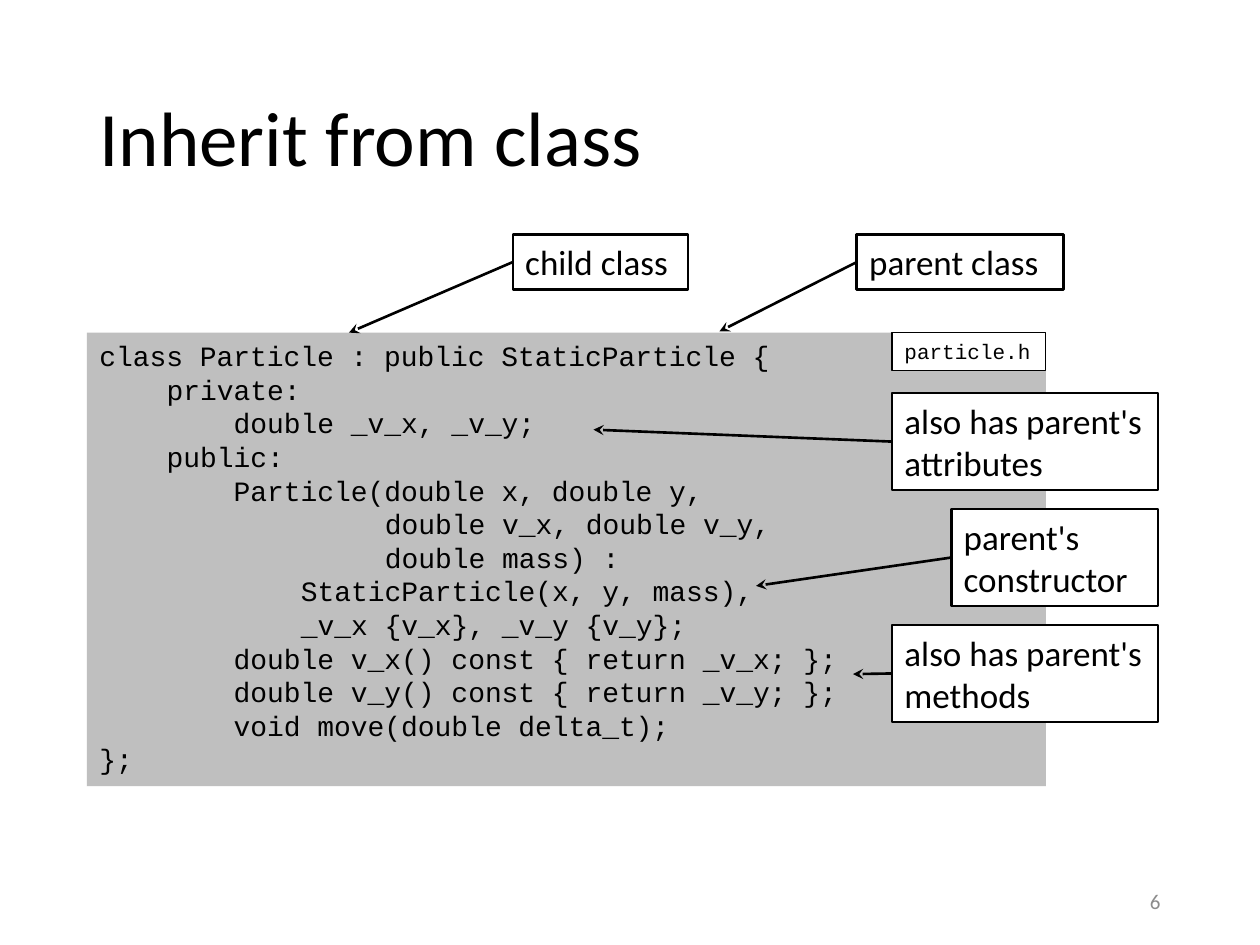
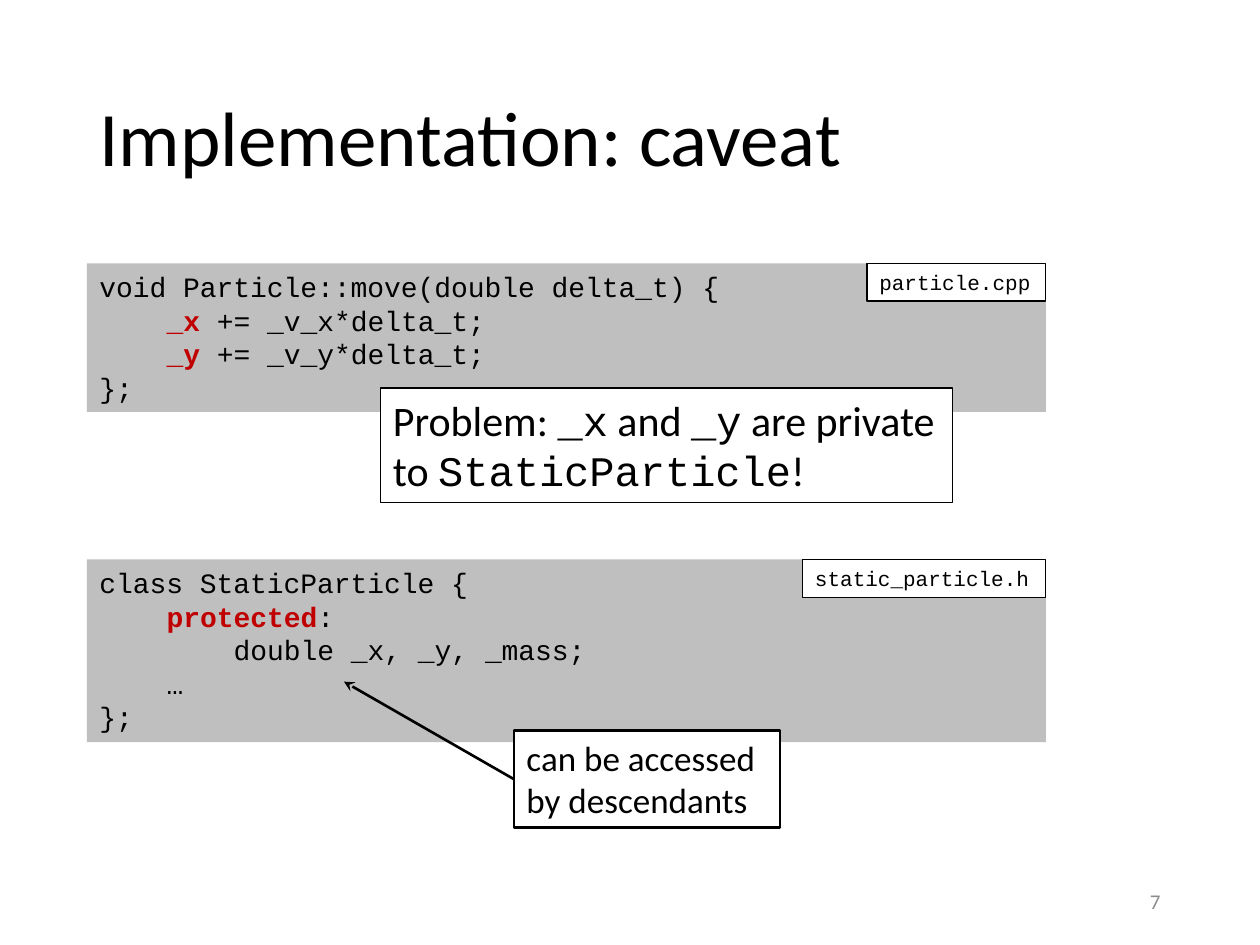
from dataclasses import dataclass

from lxml import etree
from pptx import Presentation
from pptx.dml.color import RGBColor
from pptx.enum.shapes import MSO_CONNECTOR, MSO_SHAPE
from pptx.enum.text import MSO_ANCHOR, MSO_AUTO_SIZE, PP_ALIGN
from pptx.oxml.ns import qn
from pptx.shapes.autoshape import Shape
from pptx.slide import Slide
from pptx.util import Inches, Pt

RECTANGLE = MSO_SHAPE.RECTANGLE
STRAIGHT = MSO_CONNECTOR.STRAIGHT
TOP, MIDDLE = MSO_ANCHOR.TOP, MSO_ANCHOR.MIDDLE
LEFT, RIGHT = PP_ALIGN.LEFT, PP_ALIGN.RIGHT
NO_FIT, GROW = MSO_AUTO_SIZE.NONE, MSO_AUTO_SIZE.SHAPE_TO_FIT_TEXT

# Shared style
COLORS = {
    "text": "000000",
    "paper": "FFFFFF",
    "code": "BFBFBF",
    "accent": "C00000",
    "number": "8C8C8C",
}
BODY_FONT, CODE_FONT = "Calibri", "Courier New"
CODE_SIZE = 16
CHARACTER_WIDTH = 0.6 * CODE_SIZE / 72
MARGIN, CODE_WIDTH, LABEL_HEIGHT = 0.69, 7.61, 0.3
LEFT_SIDE = 1


@dataclass
class CodeBlock:
    """A listing with its file name; text between bars is emphasised."""
    top: float
    height: float
    file_name: str
    label_width: float
    text: str


@dataclass
class Callout:
    """A boxed remark with an arrow from its left side to a target."""
    text: str
    left: float
    top: float
    width: float
    height: float
    target: tuple[float, float]


def color(name: str) -> RGBColor:
    return RGBColor.from_string(COLORS[name])


def write_text(shape: Shape, text: str, *, size: float, font: str = BODY_FONT,
               text_color: str = "text", accent_font: str = "",
               accent_color: str = "", accent_bold: bool = False,
               align: PP_ALIGN = LEFT, anchor: MSO_ANCHOR = TOP,
               wrap: bool = True, fit: MSO_AUTO_SIZE = NO_FIT,
               line_spacing: float = 1.0) -> None:
    """Write one paragraph a line; bars enclose accented runs,
    and leading blanks become a paragraph indent."""
    frame = shape.text_frame
    frame.word_wrap = wrap
    frame.auto_size = fit
    frame.vertical_anchor = anchor
    for index, line in enumerate(text.split("\n")):
        paragraph = frame.paragraphs[0] if index == 0 else frame.add_paragraph()
        paragraph.alignment = align
        paragraph.line_spacing = line_spacing
        content = line.lstrip()
        indent = len(line) - len(content)
        if indent:
            properties = paragraph._p.get_or_add_pPr()
            properties.set("marL", str(Inches(indent * CHARACTER_WIDTH)))
            properties.set("indent", "0")
        for position, piece in enumerate(content.split("|")):
            if not piece:
                continue
            accented = position % 2 == 1
            run = paragraph.add_run()
            run.text = piece
            run.font.size = Pt(size)
            run.font.name = accent_font if accented and accent_font else font
            run.font.bold = accented and accent_bold
            run.font.color.rgb = color(
                accent_color if accented and accent_color else text_color)


def add_box(slide: Slide, left: float, top: float, width: float, height: float,
            fill: str = "paper", line_width: float = 0.75) -> Shape:
    shape = slide.shapes.add_shape(
        RECTANGLE, Inches(left), Inches(top), Inches(width), Inches(height))
    shape.shadow.inherit = False
    shape.fill.solid()
    shape.fill.fore_color.rgb = color(fill)
    if line_width:
        shape.line.color.rgb = color("text")
        shape.line.width = Pt(line_width)
    else:
        shape.line.fill.background()
    return shape


def add_code(slide: Slide, block: CodeBlock) -> None:
    listing = add_box(slide, MARGIN, block.top, CODE_WIDTH, block.height,
                      fill="code", line_width=0)
    write_text(listing, block.text, size=CODE_SIZE, font=CODE_FONT,
               accent_color="accent", accent_bold=True, fit=GROW)
    label_left = MARGIN + CODE_WIDTH - block.label_width
    label = add_box(slide, label_left, block.top, block.label_width, LABEL_HEIGHT)
    write_text(label, block.file_name, size=12, font=CODE_FONT,
               wrap=False, fit=GROW)


def add_callout(slide: Slide, callout: Callout) -> None:
    box = add_box(slide, callout.left, callout.top, callout.width,
                  callout.height, line_width=1.5)
    write_text(box, callout.text, size=20, fit=GROW)
    target_x, target_y = callout.target
    arrow = slide.shapes.add_connector(
        STRAIGHT, box.left, box.top, Inches(target_x), Inches(target_y))
    arrow.begin_connect(box, LEFT_SIDE)
    arrow.line.color.rgb = color("text")
    arrow.line.width = Pt(1.5)
    etree.SubElement(arrow.line._get_or_add_ln(), qn("a:tailEnd"), type="stealth")
    etree.SubElement(arrow._element.spPr, qn("a:effectLst"))


def add_slide(presentation: Presentation, title_text: str, number: int) -> Slide:
    slide = presentation.slides.add_slide(presentation.slide_layouts[5])
    title = slide.shapes.title
    title.left, title.top = Inches(MARGIN), Inches(0.4)
    title.width, title.height = Inches(8.62), Inches(1.45)
    write_text(title, title_text, size=44, anchor=MIDDLE, line_spacing=0.9)
    footer = slide.shapes.add_textbox(
        Inches(7.06), Inches(6.95), Inches(2.25), Inches(0.4))
    write_text(footer, str(number), size=12, text_color="number",
               align=RIGHT, anchor=MIDDLE)
    return slide


# Content
CHILD_CLASS = CodeBlock(2.64, 3.6, "particle.h", 1.22, """\
class Particle : public StaticParticle {
    private:
        double _v_x, _v_y;
    public:
        Particle(double x, double y,
                 double v_x, double v_y,
                 double mass) :
            StaticParticle(x, y, mass),
            _v_x {v_x}, _v_y {v_y};
        double v_x() const { return _v_x; };
        double v_y() const { return _v_y; };
        void move(double delta_t);
};""")

MOVE_METHOD = CodeBlock(2.09, 1.18, "particle.cpp", 1.42, """\
void Particle::move(double delta_t) {
    |_x| += _v_x*delta_t;
    |_y| += _v_y*delta_t;
};""")

PARENT_CLASS = CodeBlock(4.44, 1.45, "static_particle.h", 1.93, """\
class StaticParticle {
    |protected|:
        double _x, _y, _mass;
    …
};""")

INHERITANCE_CALLOUTS = [
    Callout("parent class", 6.8, 1.86, 1.64, 0.44, (5.71, 2.63)),
    Callout("child class", 4.07, 1.86, 1.39, 0.44, (2.77, 2.64)),
    Callout("also has parent's attributes", 7.08, 3.12, 2.11, 0.77, (4.71, 3.41)),
    Callout("parent's constructor", 7.55, 4.04, 1.64, 0.77, (6, 4.65)),
    Callout("also has parent's methods", 7.08, 4.96, 2.11, 0.77, (6.77, 5.35)),
]
ACCESS_CALLOUT = Callout("can be accessed\nby descendants",
                         4.08, 5.8, 2.11, 0.77, (2.73, 5.41))
PROBLEM = "Problem: |_x| and |_y| are private\nto |StaticParticle|!"


def build_inheritance(presentation: Presentation) -> None:
    slide = add_slide(presentation, "Inherit from class", 6)
    add_code(slide, CHILD_CLASS)
    for callout in INHERITANCE_CALLOUTS:
        add_callout(slide, callout)


def build_caveat(presentation: Presentation) -> None:
    slide = add_slide(presentation, "Implementation: caveat", 7)
    add_code(slide, MOVE_METHOD)
    problem = add_box(slide, 3.02, 3.08, 4.54, 0.91)
    write_text(problem, PROBLEM, size=24, accent_font=CODE_FONT,
               wrap=False, fit=GROW)
    add_code(slide, PARENT_CLASS)
    add_callout(slide, ACCESS_CALLOUT)


def main() -> None:
    presentation = Presentation()
    presentation.slide_width = Inches(10)
    presentation.slide_height = Inches(7.5)
    build_inheritance(presentation)
    build_caveat(presentation)
    presentation.save("out.pptx")


if __name__ == "__main__":
    main()
